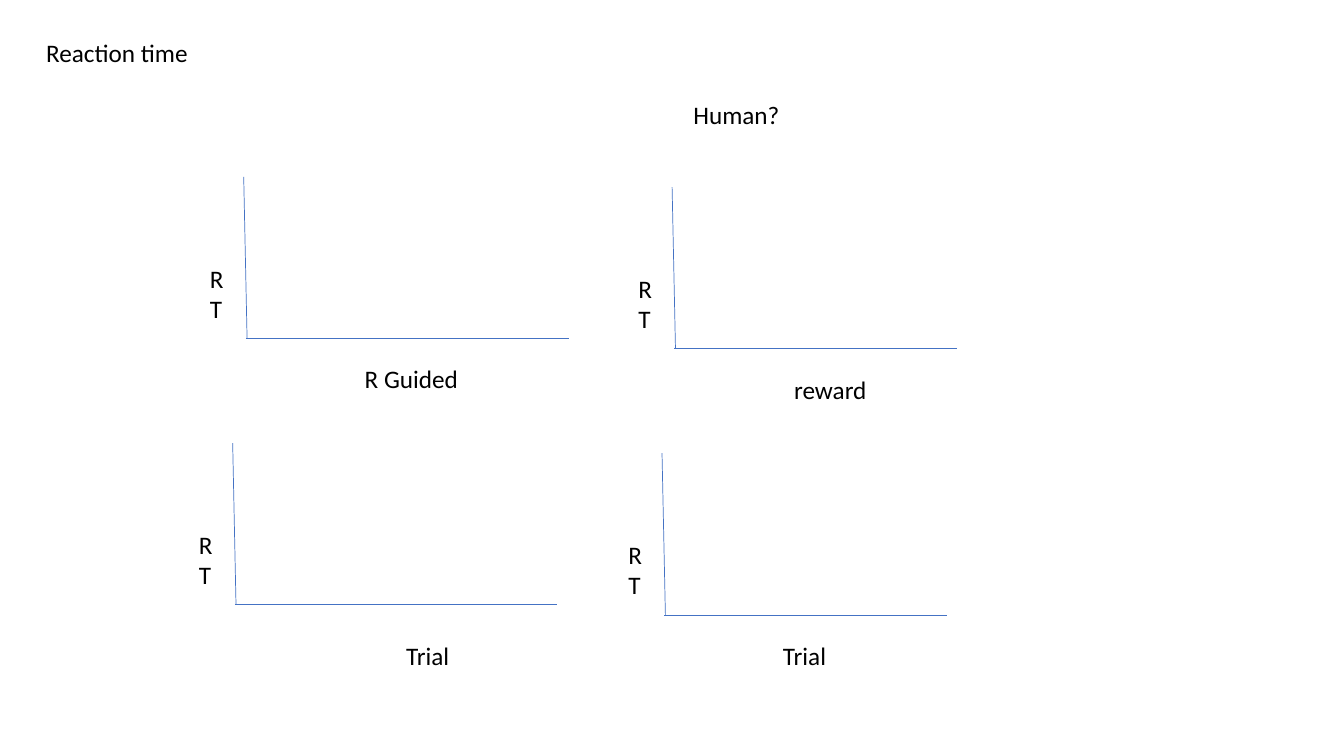
import dataclasses

import pptx
import pptx.dml.color
import pptx.enum.shapes
import pptx.enum.text
import pptx.oxml
import pptx.oxml.ns
import pptx.util

Pt = pptx.util.Pt
COLORS = {"text": "000000", "axis": "4472C4"}
FONT = "Calibri"
LABEL_H = 29


@dataclasses.dataclass
class Graph:
    """Empty axes: origin, x-axis length, and x-axis label with its box."""
    x: float
    y: float
    length: float
    label: str
    label_x: float
    label_y: float
    label_w: float


GRAPHS = [
    Graph(175.7, 241.9, 230.4, "R Guided", 253.4, 256.3, 120),
    Graph(481.7, 249.1, 202, "reward", 560.2, 263.5, 160),
    Graph(167.8, 432, 230.4, "Trial", 283, 453.6, 112),
    Graph(474.5, 439.2, 202, "Trial", 552.2, 453.6, 132),
]


def rgb(name: str) -> pptx.dml.color.RGBColor:
    """Look up a named colour."""
    return pptx.dml.color.RGBColor.from_string(COLORS[name])


def add_text(s, text: str, x: float, y: float, w: float, h: float = LABEL_H,
             wrap: bool = True) -> None:
    """Add a text box that grows with its text."""
    tf = s.shapes.add_textbox(Pt(x), Pt(y), Pt(w), Pt(h)).text_frame
    tf.word_wrap = wrap
    tf.auto_size = pptx.enum.text.MSO_AUTO_SIZE.SHAPE_TO_FIT_TEXT
    p = tf.paragraphs[0]
    p.text = text
    p.font.name = FONT
    p.font.size = Pt(18)
    p.font.color.rgb = rgb("text")


def add_line(s, x1: float, y1: float, x2: float, y2: float) -> None:
    """Add a thin axis line without a shadow."""
    sp = s.shapes.add_connector(pptx.enum.shapes.MSO_CONNECTOR.STRAIGHT,
                                Pt(x1), Pt(y1), Pt(x2), Pt(y2))
    sp.line.color.rgb = rgb("axis")
    sp.line.width = Pt(0.5)
    sp_pr = sp._element.find(pptx.oxml.ns.qn("p:spPr"))
    sp_pr.append(pptx.oxml.parse_xml(
        f"<a:effectLst {pptx.oxml.ns.nsdecls('a')}/>"))


def add_graph(s, g: Graph) -> None:
    """Draw both axes of a graph and their labels."""
    add_line(s, g.x - 1.6, g.y - 115.5, g.x + 0.8, g.y)
    add_line(s, g.x, g.y, g.x + g.length, g.y)
    add_text(s, "RT", g.x - 32.8, g.y - 57.6, 25.2, 17.3)
    add_text(s, g.label, g.label_x, g.label_y, g.label_w)


def main() -> None:
    """Build and save the slide."""
    prs = pptx.Presentation()
    prs.slide_width, prs.slide_height = Pt(960), Pt(540)
    s = prs.slides.add_slide(prs.slide_layouts[6])
    add_text(s, "Reaction time", 25.9, 23, 116.6, wrap=False)
    add_text(s, "Human?", 488.2, 67.7, 77, wrap=False)
    for g in GRAPHS:
        add_graph(s, g)
    prs.save("out.pptx")


main()
